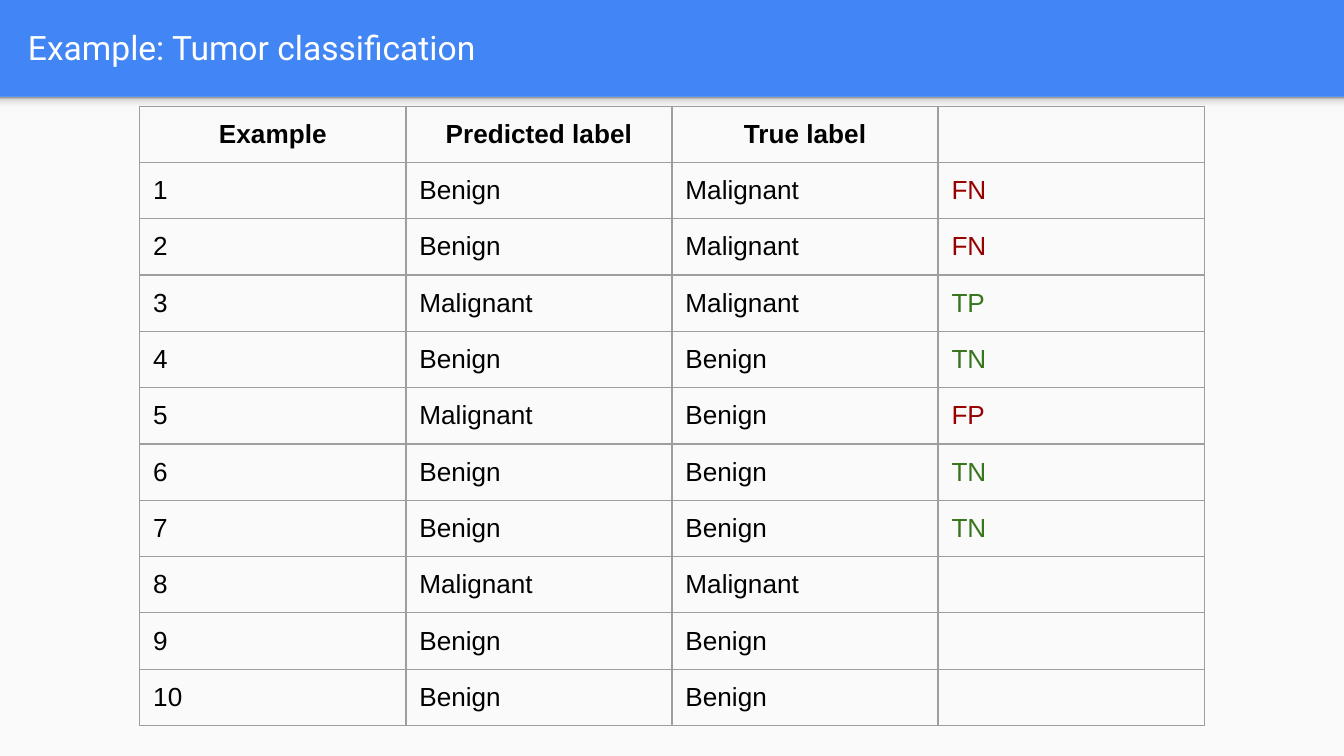
from typing import NamedTuple

from lxml import etree
from pptx import Presentation
from pptx.dml.color import RGBColor
from pptx.enum.shapes import MSO_SHAPE
from pptx.enum.text import MSO_ANCHOR, PP_ALIGN
from pptx.oxml.ns import qn
from pptx.util import Inches, Pt

RECTANGLE = MSO_SHAPE.RECTANGLE
MIDDLE = MSO_ANCHOR.MIDDLE
LEFT, CENTER = PP_ALIGN.LEFT, PP_ALIGN.CENTER

BLUE = RGBColor(0x42, 0x85, 0xF4)
PAPER = RGBColor(0xFA, 0xFA, 0xFA)
WHITE = RGBColor(0xFF, 0xFF, 0xFF)
BLACK = RGBColor(0x00, 0x00, 0x00)
RED = RGBColor(0x98, 0x00, 0x00)
GREEN = RGBColor(0x38, 0x76, 0x1D)
GRAY = RGBColor(0x9E, 0x9E, 0x9E)
SHADOW_STOPS = (
    (0, RGBColor(0xF9, 0xF9, 0xF9)),
    (36, RGBColor(0xF9, 0xF9, 0xF9)),
    (80, RGBColor(0xDE, 0xDE, 0xDE)),
    (100, RGBColor(0x99, 0x99, 0x99)),
)

SLIDE_WIDTH = Inches(10)
SLIDE_HEIGHT = Inches(10 * 9 / 16)
HEADER_HEIGHT = Inches(0.72)
MARGIN = Inches(0.1)
COLUMN_WIDTH = Inches(1.98)
ROW_HEIGHT = Inches(0.31)
BORDER_WIDTH = Pt(0.75)


class Case(NamedTuple):
    predicted: str
    true: str
    outcome: str = ""


HEADINGS = ("Example", "Predicted label", "True label", "")
CASES = (
    Case("Benign", "Malignant", "FN"),
    Case("Benign", "Malignant", "FN"),
    Case("Malignant", "Malignant", "TP"),
    Case("Benign", "Benign", "TN"),
    Case("Malignant", "Benign", "FP"),
    Case("Benign", "Benign", "TN"),
    Case("Benign", "Benign", "TN"),
    Case("Malignant", "Malignant"),
    Case("Benign", "Benign"),
    Case("Benign", "Benign"),
)
OUTCOME_COLORS = {"F": RED, "T": GREEN}


def write_text(frame, text: str, *, font: str = "Arial", size: float = 14,
               color: RGBColor = BLACK, bold: bool = False, align=LEFT) -> None:
    frame.word_wrap = True
    paragraph = frame.paragraphs[0]
    paragraph.alignment = align
    run = paragraph.add_run()
    run.text = text
    run.font.name = font
    run.font.size = Pt(size)
    run.font.bold = bold
    run.font.color.rgb = color


def set_margins(target) -> None:
    target.margin_left = target.margin_right = MARGIN
    target.margin_top = target.margin_bottom = MARGIN


def add_band(slide, top: int, height: int):
    shape = slide.shapes.add_shape(RECTANGLE, 0, top, SLIDE_WIDTH, height)
    shape.shadow.inherit = False
    shape.line.fill.background()
    return shape


def fill_gradient(shape, stops, angle: float) -> None:
    shape.fill.gradient()
    shape.fill.gradient_angle = angle
    stop_list = shape.element.spPr.find(".//" + qn("a:gsLst"))
    for stop in list(stop_list):
        stop_list.remove(stop)
    for position, color in stops:
        stop = etree.SubElement(stop_list, qn("a:gs"), pos=str(position * 1000))
        etree.SubElement(stop, qn("a:srgbClr"), val=str(color))


def add_borders(cell) -> None:
    properties = cell._tc.get_or_add_tcPr()
    for index, side in enumerate(("a:lnL", "a:lnR", "a:lnT", "a:lnB")):
        line = etree.Element(qn(side), w=str(BORDER_WIDTH))
        fill = etree.SubElement(line, qn("a:solidFill"))
        etree.SubElement(fill, qn("a:srgbClr"), val=str(GRAY))
        properties.insert(index, line)


def add_label_table(slide) -> None:
    rows = [HEADINGS]
    rows += [(str(number), *case) for number, case in enumerate(CASES, start=1)]
    columns = len(HEADINGS)
    table = slide.shapes.add_table(
        len(rows), columns, Inches(1.04), Inches(0.79),
        COLUMN_WIDTH * columns, ROW_HEIGHT * len(rows)).table
    table.first_row = False
    table.horz_banding = False
    for row_index, row in enumerate(rows):
        heading = row_index == 0
        for column_index, text in enumerate(row):
            cell = table.cell(row_index, column_index)
            cell.fill.background()
            add_borders(cell)
            if text:
                set_margins(cell)
                outcome = not heading and column_index == columns - 1
                write_text(cell.text_frame, text, bold=heading,
                           color=OUTCOME_COLORS[text[0]] if outcome else BLACK,
                           align=CENTER if heading else LEFT)


def add_title(slide, text: str) -> None:
    title = slide.shapes.add_textbox(
        Inches(0.11), Inches(0.02), Inches(9.65), Inches(0.66))
    title.text_frame.vertical_anchor = MIDDLE
    set_margins(title.text_frame)
    write_text(title.text_frame, text, font="Roboto", size=18, color=WHITE)


def main() -> None:
    presentation = Presentation()
    presentation.slide_width = SLIDE_WIDTH
    presentation.slide_height = SLIDE_HEIGHT
    slide = presentation.slides.add_slide(presentation.slide_layouts[6])
    slide.background.fill.solid()
    slide.background.fill.fore_color.rgb = BLUE

    body = add_band(slide, HEADER_HEIGHT, SLIDE_HEIGHT - HEADER_HEIGHT)
    body.fill.solid()
    body.fill.fore_color.rgb = PAPER
    shadow = add_band(slide, HEADER_HEIGHT, Inches(0.12))
    fill_gradient(shadow, SHADOW_STOPS, 90)

    add_label_table(slide)
    add_title(slide, "Example: Tumor classification")
    presentation.save("out.pptx")


if __name__ == "__main__":
    main()
